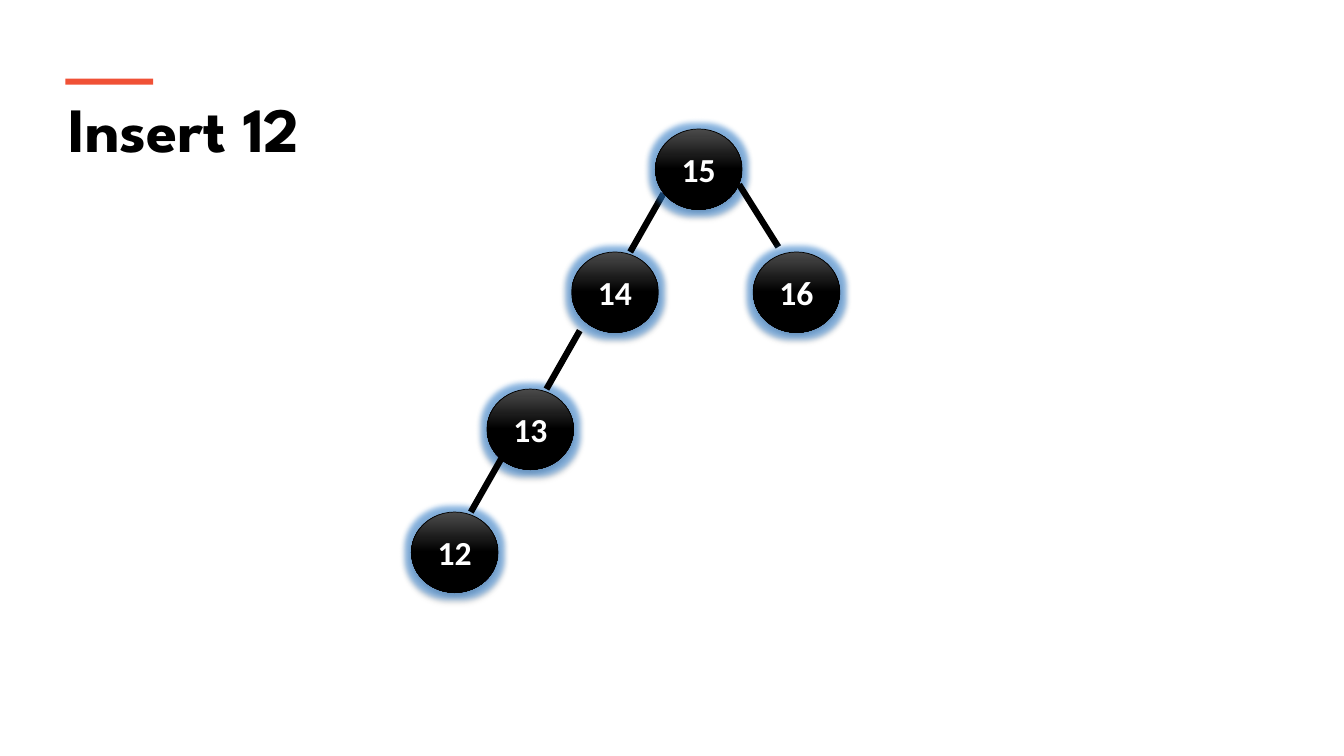
from dataclasses import dataclass

from lxml import etree
from pptx import Presentation
from pptx import util as u
from pptx.dml.color import RGBColor
from pptx.enum import shapes, text
from pptx.oxml import ns

PX = 9144  # EMU per px, 100 px to the inch


@dataclass(frozen=True)
class Theme:
    ink: str = "000000"
    sheen: str = "4B4B4B"
    accent: str = "F05136"
    label: str = "FFFFFF"
    glow: str = "2F86DD"
    title_font: str = "League Spartan"
    label_font: str = "Calibri"
    title_size: int = 45
    label_size: int = 24
    outline: float = 0.5
    edge: float = 4.5


def px(*lengths):
    return [length * PX for length in lengths]


def add_effect(effects, tag, color, alpha, **attributes):
    effect = etree.SubElement(effects, ns.qn(f"a:{tag}"), **attributes)
    tint = etree.SubElement(effect, ns.qn("a:srgbClr"), val=color)
    etree.SubElement(tint, ns.qn("a:alpha"), val=str(alpha * 1000))


class TreeSlide:
    def __init__(self, deck, theme):
        self.theme = theme
        self.shapes = deck.slides.add_slide(deck.slide_layouts[6]).shapes

    def set_words(self, frame, words, color, frame_format, **font_format):
        for name, value in frame_format.items():
            setattr(frame, name, value)
        run = frame.paragraphs[0].add_run()
        run.text = words
        for name, value in font_format.items():
            setattr(run.font, name, value)
        run.font.color.rgb = RGBColor.from_string(color)

    def title(self, words, *box):
        frame = self.shapes.add_textbox(*px(*box)).text_frame
        self.set_words(frame, words, self.theme.ink, {"word_wrap": True},
                       name=self.theme.title_font, size=u.Pt(self.theme.title_size), bold=True)

    def accent_bar(self, *box):
        bar = self.shapes.add_shape(shapes.MSO_SHAPE.RECTANGLE, *px(*box))
        bar.shadow.inherit = False
        bar.fill.solid()
        bar.fill.fore_color.rgb = RGBColor.from_string(self.theme.accent)
        bar.line.fill.background()

    def node(self, key, left, top):
        """Glossy disc with a glow and a soft shadow, labelled with its key."""
        theme = self.theme
        disc = self.shapes.add_shape(shapes.MSO_SHAPE.OVAL, *px(left, top, 86, 80))
        disc.fill.gradient()
        disc.fill.gradient_angle = 270
        for stop, position, color in zip(disc.fill.gradient_stops, (0, 0.5),
                                         (theme.sheen, theme.ink)):
            stop.position = position
            stop.color.rgb = RGBColor.from_string(color)
        disc.line.color.rgb = RGBColor.from_string(theme.ink)
        disc.line.width = u.Pt(theme.outline)
        disc.shadow.inherit = False
        effects = disc._element.spPr.find(ns.qn("a:effectLst"))
        add_effect(effects, "glow", theme.glow, 50, rad="101600")
        add_effect(effects, "outerShdw", theme.ink, 35,
                   blurRad="39370", dist="22860", dir="5400000", rotWithShape="0")
        frame_format = {"vertical_anchor": text.MSO_ANCHOR.MIDDLE,
                        "margin_left": 9 * PX, "margin_right": 9 * PX,
                        "margin_top": 4 * PX, "margin_bottom": 4 * PX}
        self.set_words(disc.text_frame, str(key), theme.label, frame_format,
                       name=theme.label_font, size=u.Pt(theme.label_size), bold=True)
        disc.text_frame.paragraphs[0].alignment = text.PP_ALIGN.CENTER

    def edge(self, x, y, dx, dy):
        branch = self.shapes.add_connector(shapes.MSO_CONNECTOR.STRAIGHT,
                                           *px(x, y, x + dx, y + dy))
        branch.line.color.rgb = RGBColor.from_string(self.theme.ink)
        branch.line.width = u.Pt(self.theme.edge)
        etree.SubElement(branch._element.spPr, ns.qn("a:effectLst"))


def main():
    deck = Presentation()
    deck.slide_width, deck.slide_height = px(1333, 750)
    slide = TreeSlide(deck, Theme())
    slide.title("Insert 12", 58, 84, 1218, 86)
    slide.accent_bar(65, 78, 87, 6)

    to_left, to_right = (-33, 58), (39, 62)
    tree = [
        (14, (567, 250), (658, 192, *to_left)),
        (15, (650, 128), (733, 183, *to_right)),
        (16, (747, 250), None),
        (13, (483, 386), (575, 328, *to_left)),
        (12, (408, 508), (500, 450, *to_left)),
    ]
    for key, corner, branch in tree:
        slide.node(key, *corner)
        if branch:
            slide.edge(*branch)
    deck.save("out.pptx")


if __name__ == "__main__":
    main()
